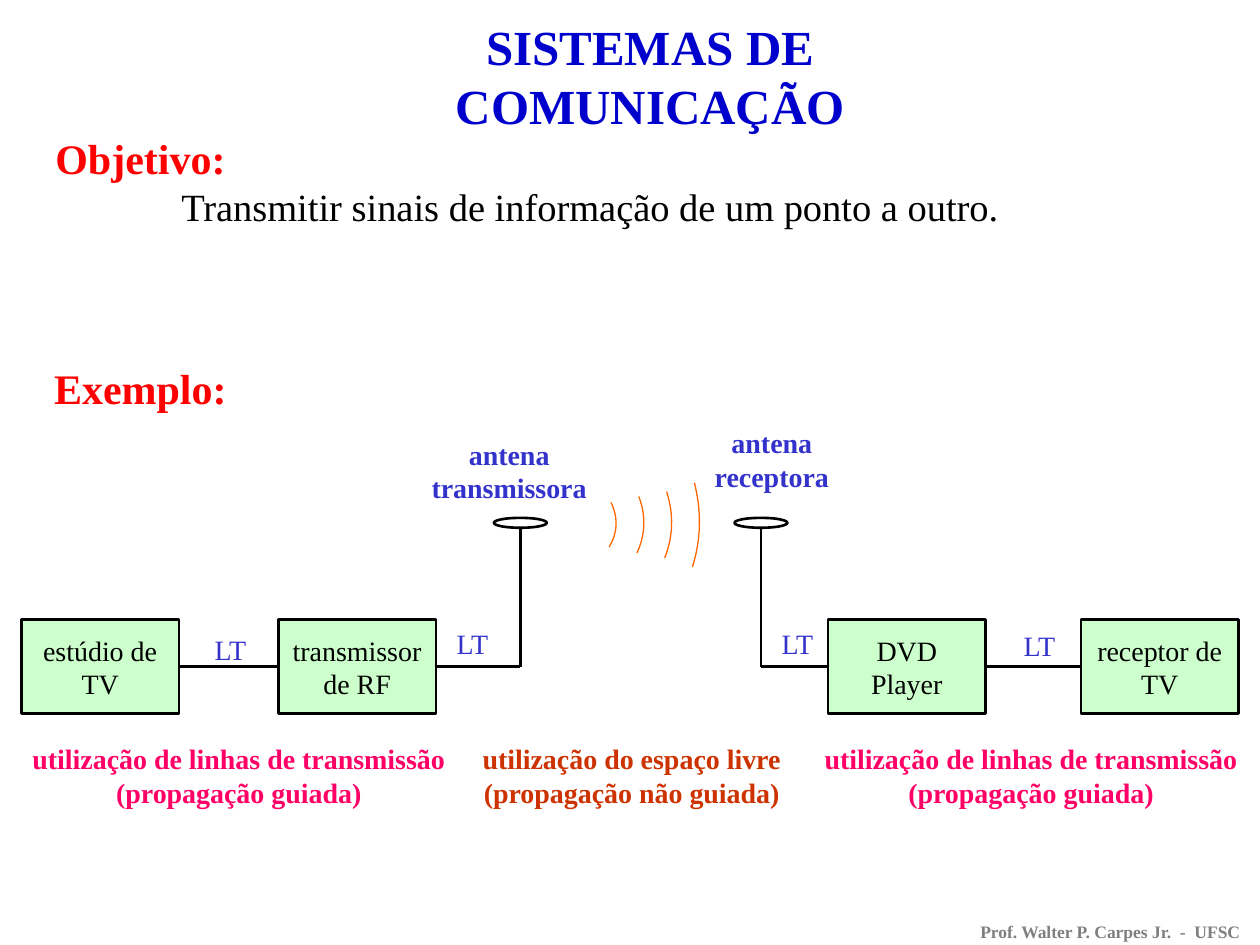
"""Build a slide that explains the goal and an example of communication systems."""
from dataclasses import dataclass

from lxml.etree import SubElement
from pptx import Presentation
from pptx.dml.color import RGBColor
from pptx.enum.shapes import MSO_CONNECTOR, MSO_SHAPE
from pptx.enum.text import MSO_ANCHOR, MSO_AUTO_SIZE, PP_ALIGN
from pptx.oxml.ns import qn
from pptx.util import Cm, Pt


@dataclass(frozen=True)
class Theme:
    font: str = "Times New Roman"
    title: str = "0000CC"
    heading: str = "FF0000"
    ink: str = "000000"
    label: str = "3333CC"
    guided: str = "FF0066"
    unguided: str = "CC3300"
    footer: str = "7F7F7F"
    wave: str = "FF6600"
    block: str = "CCFFCC"
    title_size: float = 28
    heading_size: float = 24
    body_size: float = 22
    label_size: float = 16
    footer_size: float = 10
    line: float = 1.5
    wave_line: float = 0.75


THEME = Theme()
RIGHT, LEFT = 3, 1
BLOCK_TOP, BLOCK_WIDTH, BLOCK_HEIGHT = 12.49, 3.18, 1.9
LINE_Y = BLOCK_TOP + BLOCK_HEIGHT / 2
DISH_TOP, DISH_WIDTH, DISH_HEIGHT = 10.44, 1.07, 0.2
WAVE_Y = 10.58


def place(shape, left, top, width, height):
    shape.left, shape.top = Cm(left), Cm(top)
    shape.width, shape.height = Cm(width), Cm(height)


def format_paragraph(paragraph, size, color, bold=False, align=PP_ALIGN.CENTER):
    paragraph.alignment = align
    paragraph.space_before = Pt(0)
    font = paragraph.font
    font.name, font.size, font.bold = THEME.font, Pt(size), bold
    font.color.rgb = RGBColor.from_string(color)


def write(shape, text, size, color, bold=False, align=PP_ALIGN.CENTER,
          anchor=MSO_ANCHOR.TOP, wrap=True):
    frame = shape.text_frame
    frame.text = text
    frame.word_wrap = wrap
    frame.auto_size = MSO_AUTO_SIZE.NONE
    frame.vertical_anchor = anchor
    for paragraph in frame.paragraphs:
        format_paragraph(paragraph, size, color, bold, align)


def add_label(slide, box, text, size, color, **options):
    shape = slide.shapes.add_textbox(*map(Cm, box))
    write(shape, text, size, color, **options)


def set_outline(shape, color, width):
    shape.line.color.rgb = RGBColor.from_string(color)
    shape.line.width = Pt(width)


def add_block(slide, left, text):
    shape = slide.shapes.add_shape(
        MSO_SHAPE.RECTANGLE, Cm(left), Cm(BLOCK_TOP), Cm(BLOCK_WIDTH), Cm(BLOCK_HEIGHT))
    shape.shadow.inherit = False
    shape.fill.solid()
    shape.fill.fore_color.rgb = RGBColor.from_string(THEME.block)
    set_outline(shape, THEME.ink, THEME.line)
    write(shape, text, THEME.label_size, THEME.ink, anchor=MSO_ANCHOR.MIDDLE)
    return shape


def add_line(slide, start, end):
    connector = slide.shapes.add_connector(
        MSO_CONNECTOR.STRAIGHT, *map(Cm, start), *map(Cm, end))
    set_outline(connector, THEME.ink, THEME.line)
    SubElement(connector._element.spPr, qn("a:effectLst"))
    return connector


def link_blocks(slide, first, second):
    connector = add_line(slide, (0, LINE_Y), (1, LINE_Y))
    connector.begin_connect(first, RIGHT)
    connector.end_connect(second, LEFT)


def add_antenna(slide, x, block, side):
    dish = slide.shapes.add_shape(
        MSO_SHAPE.OVAL, Cm(x - DISH_WIDTH / 2), Cm(DISH_TOP), Cm(DISH_WIDTH), Cm(DISH_HEIGHT))
    dish.shadow.inherit = False
    dish.fill.background()
    set_outline(dish, THEME.ink, THEME.line)
    add_line(slide, (x, LINE_Y), (x, DISH_TOP + DISH_HEIGHT))
    add_line(slide, (x, LINE_Y), (x, LINE_Y)).begin_connect(block, side)


def add_wave(slide, x, half_height, steps=16):
    points = []
    for step in range(steps + 1):
        t = step / steps
        bulge = 0.42 * t * (1 - t) - 0.04 * t ** 3
        points.append((Cm(x + bulge), Cm(WAVE_Y + half_height * (2 * t - 1))))
    builder = slide.shapes.build_freeform(*points[0])
    builder.add_line_segments(points[1:], close=False)
    wave = builder.convert_to_shape()
    wave.shadow.inherit = False
    wave.fill.background()
    set_outline(wave, THEME.wave, THEME.wave_line)


def fill_placeholders(slide):
    title, body = slide.placeholders
    place(title, 5.51, 0.2, 15.19, 1.45)
    write(title, "SISTEMAS DE COMUNICAÇÃO", THEME.title_size, THEME.title, bold=True, wrap=False)

    place(body, 0.86, 2.54, 20.5, 2.3)
    frame = body.text_frame
    frame.text = "Objetivo:\nTransmitir sinais de informação de um ponto a outro."
    frame.auto_size = MSO_AUTO_SIZE.NONE
    for paragraph, indent in zip(frame.paragraphs, (0, 2.54)):
        properties = paragraph._p.get_or_add_pPr()
        properties.set("marL", str(Cm(indent)))
        properties.set("indent", "0")
        SubElement(properties, qn("a:buNone"))
    heading, goal = frame.paragraphs
    format_paragraph(heading, THEME.heading_size, THEME.heading, True, PP_ALIGN.LEFT)
    format_paragraph(goal, THEME.body_size, THEME.ink, align=PP_ALIGN.LEFT)


def add_diagram(slide):
    for index, half_height in enumerate((0.45, 0.57, 0.67, 0.85)):
        add_wave(slide, 12.32 + 0.56 * index, half_height)

    studio, transmitter, player, receiver = (
        add_block(slide, left, text) for left, text in (
            (0.43, "estúdio de TV"), (5.61, "transmissor de RF"),
            (16.69, "DVD Player"), (21.79, "receptor de TV")))
    link_blocks(slide, studio, transmitter)
    link_blocks(slide, player, receiver)
    add_antenna(slide, 10.49, transmitter, RIGHT)
    add_antenna(slide, 15.34, player, LEFT)

    for left, top in ((4.01, 12.62), (8.89, 12.5), (15.44, 12.5), (20.32, 12.55)):
        add_label(slide, (left, top, 1.27, 0.94), "LT", THEME.label_size, THEME.label)
    for box, text in (((8.26, 8.69, 4.01, 1.63), "antena transmissora"),
                      ((13.97, 8.46, 3.18, 1.63), "antena receptora")):
        add_label(slide, box, text, THEME.label_size, THEME.label, bold=True)


def add_captions(slide):
    guided = "utilização de linhas de transmissão\n(propagação guiada)"
    unguided = "utilização do espaço livre\n(propagação não guiada)"
    for left, width, text, color in ((0.41, 8.81, guided, THEME.guided),
                                     (9.47, 6.53, unguided, THEME.unguided),
                                     (16.38, 8.81, guided, THEME.guided)):
        add_label(slide, (left, 14.81, width, 1.63), text, THEME.label_size, color,
                  bold=True, anchor=MSO_ANCHOR.MIDDLE, wrap=False)


def main():
    presentation = Presentation()
    presentation.slide_width, presentation.slide_height = Cm(25.4), Cm(19.05)
    slide = presentation.slides.add_slide(presentation.slide_layouts[1])
    fill_placeholders(slide)
    add_label(slide, (0.84, 7.19, 5, 1.27), "Exemplo:", THEME.heading_size, THEME.heading,
              bold=True, align=PP_ALIGN.LEFT)
    add_diagram(slide)
    add_captions(slide)
    add_label(slide, (19.36, 18.44, 6.04, 0.61), "Prof. Walter P. Carpes Jr.  -  UFSC",
              THEME.footer_size, THEME.footer, bold=True)
    presentation.save("out.pptx")


if __name__ == "__main__":
    main()
